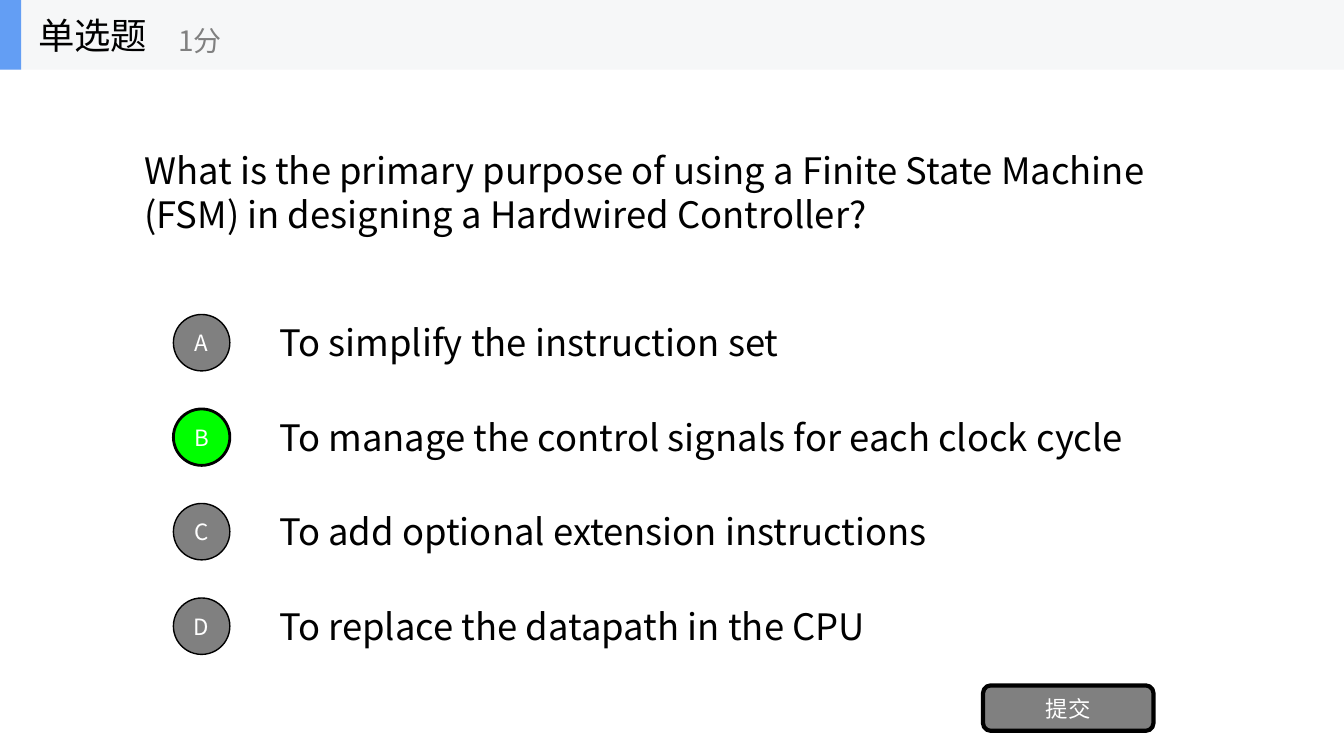
from lxml import etree
from pptx import Presentation
from pptx import util as u
from pptx.dml.color import RGBColor
from pptx.enum import shapes, text
from pptx.oxml.ns import qn

COLOURS = {
    "ink": "000000",
    "white": "FFFFFF",
    "grey": "808080",
    "correct": "00FF00",
    "band": "F6F7F8",
    "accent": "639EF4",
}
SHAPE = shapes.MSO_SHAPE
ALIGN = text.PP_ALIGN


class QuizPage:
    font = "Noto Sans CJK SC"

    def __init__(self, page):
        self.page = page

    def colour(self, name):
        return RGBColor.from_string(COLOURS[name])

    def place(self, item, left, top, width, height):
        item.left, item.top = u.Inches(left), u.Inches(top)
        item.width, item.height = u.Inches(width), u.Inches(height)

    def set_words(self, box, words, size, colour, align=ALIGN.LEFT):
        frame = box.text_frame
        frame.text = words
        frame.word_wrap = True
        frame.auto_size = text.MSO_AUTO_SIZE.NONE
        frame.vertical_anchor = text.MSO_ANCHOR.MIDDLE
        para = frame.paragraphs[0]
        para.alignment = align
        for span in para.runs:
            span.font.size = u.Pt(size)
            span.font.name = self.font
            span.font.color.rgb = self.colour(colour)
            east = etree.SubElement(span.font._element, qn("a:ea"))
            east.set("typeface", self.font)
        return para

    def question(self, words, *area):
        title = self.page.shapes.title
        self.place(title, *area)
        para = self.set_words(title, words, 26, "ink")
        para.line_spacing = u.Pt(31.4)
        title.text_frame.margin_top = u.Inches(0.07)
        title.text_frame.margin_bottom = 0

    def label(self, words, area, size=26, colour="ink", parent=None):
        box = (parent or self.page).shapes.add_textbox(*map(u.Inches, area))
        self.set_words(box, words, size, colour)

    def shape(self, kind, area, fill, line=0, words="", parent=None):
        item = (parent or self.page).shapes.add_shape(kind, *map(u.Inches, area))
        item.shadow.inherit = False
        item.fill.solid()
        item.fill.fore_color.rgb = self.colour(fill)
        if line:
            item.line.color.rgb = self.colour("ink")
            item.line.width = u.Pt(line)
        else:
            item.line.fill.background()
        if words:
            frame = item.text_frame
            frame.margin_left = frame.margin_right = 0
            frame.margin_top = frame.margin_bottom = 0
            self.set_words(item, words, 16, "white", ALIGN.CENTER)


def main():
    deck = Presentation()
    deck.slide_width, deck.slide_height = u.Inches(13.33), u.Inches(7.5)
    page = deck.slides.add_slide(deck.slide_layouts[5])
    quiz = QuizPage(page)

    # Question
    quiz.question(
        "What is the primary purpose of using a Finite State Machine (FSM) "
        "in designing a Hardwired Controller?",
        1.33, 1.38, 10.67, 0.97)

    # Options, with the right answer highlighted
    options = [
        ("A", "To simplify the instruction set", 5.38),
        ("B", "To manage the control signals for each clock cycle", 8.95),
        ("C", "To add optional extension instructions", 6.89),
        ("D", "To replace the datapath in the CPU", 6.31),
    ]
    row_step = 3.75 / len(options)
    for row, (letter, answer, width) in enumerate(options):
        offset = row * row_step
        fill, line = ("correct", 2) if letter == "B" else ("grey", 1)
        quiz.label(answer, (2.67, 3.13 + offset, width, 0.53))
        quiz.shape(SHAPE.OVAL, (1.72, 3.12 + offset, 0.56, 0.56), fill, line, letter)

    # Submit button
    quiz.shape(SHAPE.ROUNDED_RECTANGLE, (9.75, 6.8, 1.69, 0.45), "grey", 3, "提交")

    # Header band
    header = page.shapes.add_group_shape()
    quiz.shape(SHAPE.RECTANGLE, (0, 0, 13.33, 0.69), "band", parent=header)
    quiz.shape(SHAPE.RECTANGLE, (0, 0, 0.21, 0.69), "accent", parent=header)
    quiz.label("单选题", (0.28, 0, 2.08, 0.69), parent=header)
    quiz.label("1分", (1.67, 0.12, 2.5, 0.56), 20, "grey", header)

    deck.save("out.pptx")


if __name__ == "__main__":
    main()
